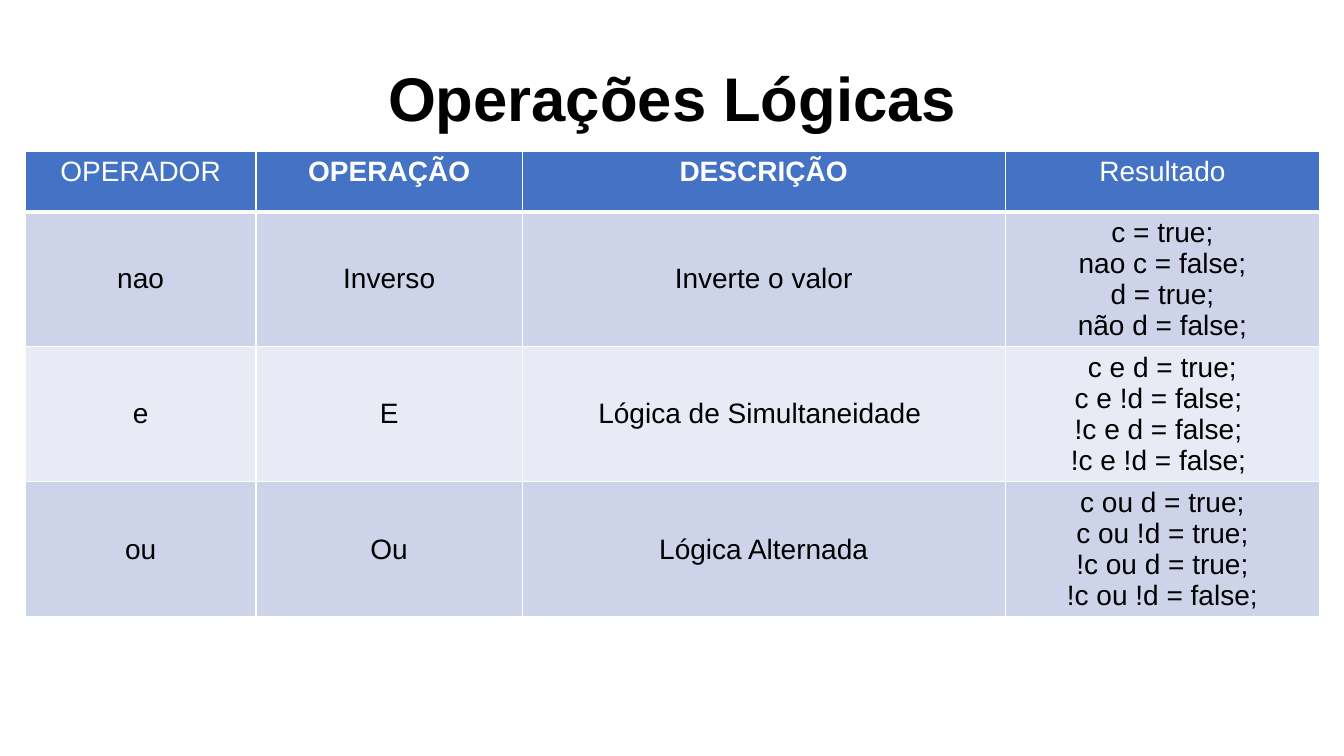
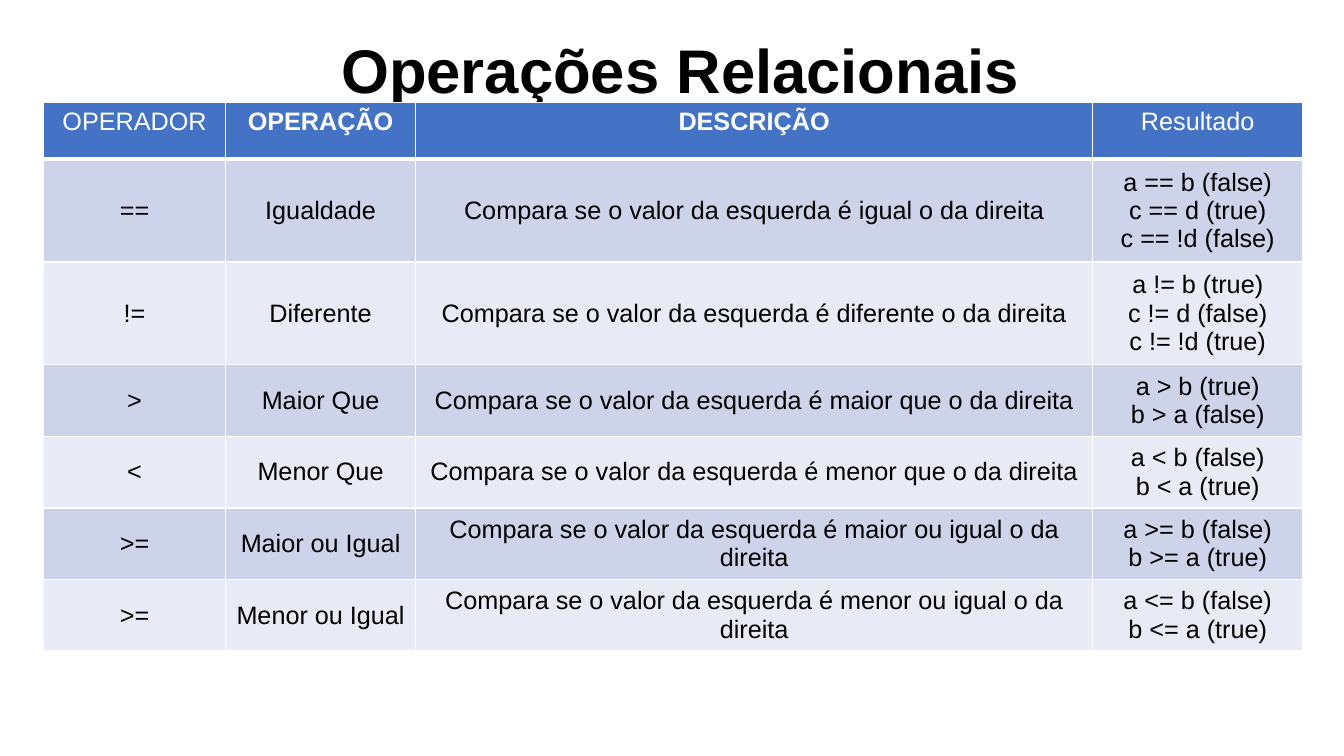
"""Build two slides of operator tables, one logical and one relational."""
from dataclasses import dataclass

from lxml import etree
from pptx import Presentation
from pptx import util as u
from pptx.dml import color
from pptx.enum import text
from pptx.oxml import ns

PX = 9144
FONT = "Arial"
BLACK, WHITE, BLUE = "000000", "FFFFFF", "4472C4"
BANDS = ("CDD4EA", "E8EBF5")
HEAD = ("OPERADOR", "OPERAÇÃO", "DESCRIÇÃO", "Resultado")
BOLD = ("OPERAÇÃO", "DESCRIÇÃO")
TITLE = {"name": FONT, "size": u.Pt(44), "bold": True}


@dataclass(frozen=True)
class Page:
    title: str
    spot: tuple[int, int]
    left: int
    top: int
    size: int
    cols: tuple[int, ...]
    tall: tuple[int, ...]
    rows: tuple[tuple[str, ...], ...]


PAGES = (
    Page("Operações Lógicas", (92, 28), 25, 150, 20,
         (229, 264, 479, 312), (60, 134, 134, 134), (
             ("nao", "Inverso", "Inverte o valor",
              "c = true;\nnao c = false;\nd = true;\nnão d = false;"),
             ("e", "E", "Lógica de Simultaneidade ",
              "c e d = true;\nc e !d = false; \n!c e d = false; \n!c e !d = false; "),
             ("ou", "Ou", "Lógica Alternada",
              "c ou d = true;\nc ou !d = true;\n!c ou d = true;\n!c ou !d = false;"))),
    Page("Operações Relacionais", (100, 0), 43, 102, 18,
         (181, 188, 672, 208), (56, 102, 102, 71, 71, 71, 71), (
             ("==", "Igualdade", "Compara se o valor da esquerda é igual o da direita",
              "a == b (false)\nc == d (true)\nc == !d (false)"),
             ("!=", "Diferente", "Compara se o valor da esquerda é diferente o da direita",
              "a != b (true)\nc != d (false)\nc != !d (true)"),
             (">", "Maior Que", "Compara se o valor da esquerda é maior que o da direita",
              "a > b (true)\nb > a (false)"),
             ("<", "Menor Que", "Compara se o valor da esquerda é menor que o da direita",
              "a < b (false)\nb < a (true)"),
             (">=", "Maior ou Igual",
              "Compara se o valor da esquerda é maior ou igual o da direita",
              "a >= b (false)\nb >= a (true)"),
             (">=", "Menor ou Igual",
              "Compara se o valor da esquerda é menor ou igual o da direita",
              "a <= b (false)\nb <= a (true)"))),
)


def px(num: int) -> u.Emu:
    return u.Emu(num * PX)


def tint(code: str) -> color.RGBColor:
    return color.RGBColor.from_string(code)


def put(item, vals: dict) -> None:
    for key, val in vals.items():
        setattr(item, key, val)


def write(frame, words: str, font: dict, code: str, pitch: float = 1.0) -> None:
    frame.text = words
    for para in frame.paragraphs:
        put(para, {"alignment": text.PP_ALIGN.CENTER, "line_spacing": pitch})
        for run in para.runs:
            put(run.font, font)
            run.font.color.rgb = tint(code)


def edge(cell, top: int, base: int) -> None:
    props = cell._tc.get_or_add_tcPr()
    sides = {"lnL": 1, "lnR": 1, "lnT": top, "lnB": base}
    for spot, (tag, wide) in enumerate(sides.items()):
        line = etree.Element(ns.qn(f"a:{tag}"), w=str(u.Pt(wide)))
        fill = etree.SubElement(line, ns.qn("a:solidFill"))
        etree.SubElement(fill, ns.qn("a:srgbClr"), val=WHITE)
        props.insert(spot, line)


def style(cell, words: str, row: int, size: int) -> None:
    head = row == 0
    font = {"name": FONT, "size": u.Pt(size), "bold": head and words in BOLD}
    write(cell.text_frame, words, font, WHITE if head else BLACK)
    cell.vertical_anchor = text.MSO_ANCHOR.TOP if head else text.MSO_ANCHOR.MIDDLE
    cell.fill.solid()
    cell.fill.fore_color.rgb = tint(BLUE if head else BANDS[(row - 1) % 2])
    edge(cell, 3 if row == 1 else 1, 3 if head else 1)


def grid(slide, page: Page) -> None:
    table = slide.shapes.add_table(
        len(page.tall), len(page.cols), px(page.left), px(page.top),
        px(sum(page.cols)), px(sum(page.tall))).table
    for col, wide in zip(table.columns, page.cols):
        col.width = px(wide)
    for row, (line, tall) in enumerate(zip((HEAD, *page.rows), page.tall)):
        table.rows[row].height = px(tall)
        for col, words in enumerate(line):
            style(table.cell(row, col), words, row, page.size)


def draw(deck, page: Page) -> None:
    slide = deck.slides.add_slide(deck.slide_layouts[5])
    title = slide.shapes.title
    left, top = page.spot
    put(title, {"left": px(left), "top": px(top), "width": px(1150), "height": px(145)})
    put(title.text_frame, {"vertical_anchor": text.MSO_ANCHOR.MIDDLE,
                           "auto_size": text.MSO_AUTO_SIZE.NONE, "word_wrap": True})
    write(title.text_frame, page.title, TITLE, BLACK, 0.9)
    grid(slide, page)


def main() -> None:
    deck = Presentation()
    put(deck, {"slide_width": px(1333), "slide_height": px(750)})
    for page in PAGES:
        draw(deck, page)
    deck.save("out.pptx")


if __name__ == "__main__":
    main()
